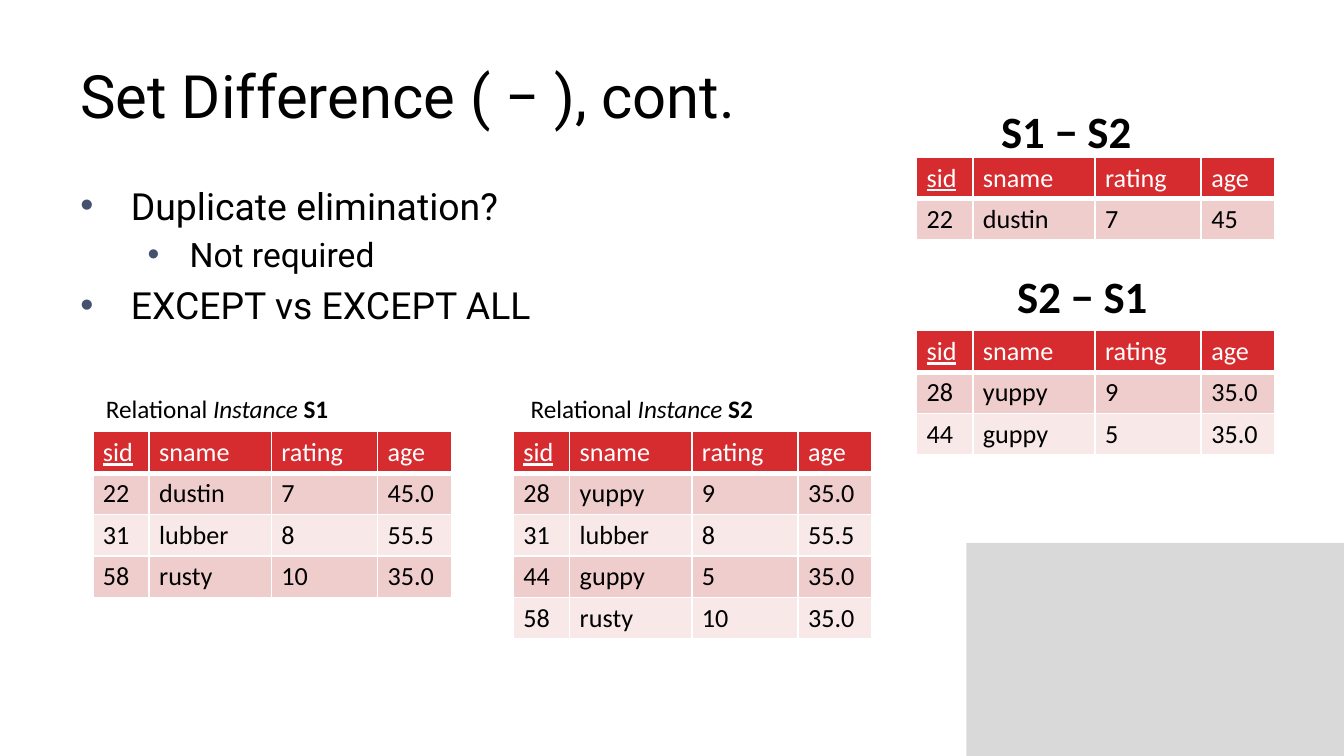
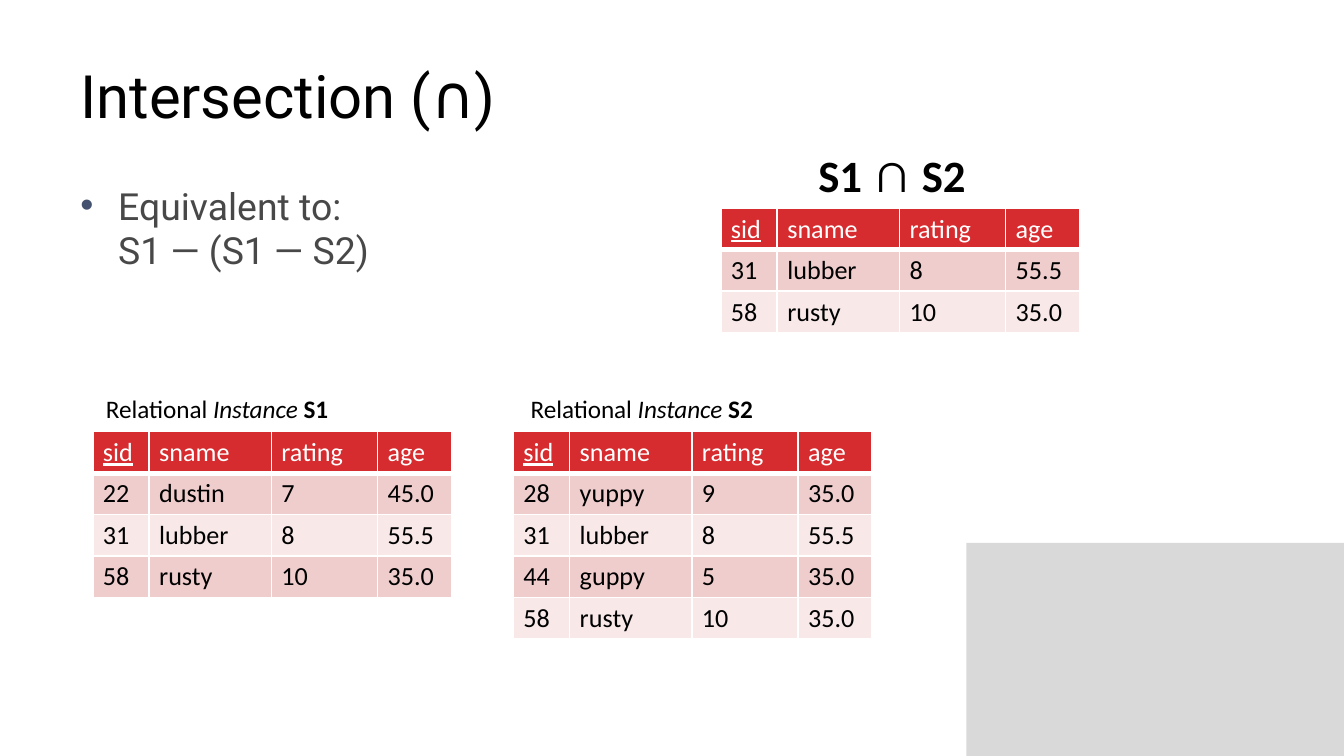
from lxml import etree
from pptx import Presentation
from pptx.dml.color import RGBColor
from pptx.enum import shapes, text
from pptx.oxml import ns
from pptx.util import Pt

BLACK, WHITE, GREY, DARK_GREY = "000000", "FFFFFF", "D9D9D9", "484848"
RED, PINK, PALE_PINK, BULLET = "D72C2F", "F0CDCD", "F8E8E8", "44516F"
HEADING, PLAIN = "Roboto", "Calibri"

COLUMNS = {"sid": 30.2, "sname": 65.5, "rating": 56.9, "age": 39.6}
ROW_HEIGHT = 22.2
CELL_MARGINS = {"margin_left": 5.4, "margin_right": 5.4,
                "margin_top": 2.7, "margin_bottom": 2.7}

DUSTIN = ("22", "dustin", "7", "45.0")
YUPPY = ("28", "yuppy", "9", "35.0")
LUBBER = ("31", "lubber", "8", "55.5")
GUPPY = ("44", "guppy", "5", "35.0")
RUSTY = ("58", "rusty", "10", "35.0")


def rgb(value):
    return RGBColor.from_string(value)


def add_run(p, content, color=BLACK, **formats):
    """Add a run; formats are attributes of its font, with size in points."""
    r = p.add_run()
    r.text = content
    r.font.color.rgb = rgb(color)
    formats["size"] = Pt(formats["size"])
    for name, value in formats.items():
        setattr(r.font, name, value)


def add_text_box(s, left, top, width, height, **formats):
    """Add an empty text box and return its text frame."""
    tf = s.shapes.add_textbox(Pt(left), Pt(top), Pt(width), Pt(height)).text_frame
    for name, value in formats.items():
        setattr(tf, name, value)
    return tf


def add_title(s, title):
    tf = add_text_box(s, 36, 16.6, 648, 67.7, word_wrap=True,
                      vertical_anchor=text.MSO_ANCHOR.MIDDLE)
    add_run(tf.paragraphs[0], title, size=32, name=HEADING)


def add_bullet(p, margin, hanging):
    pPr = p._p.get_or_add_pPr()
    pPr.set("marL", str(Pt(margin)))
    pPr.set("indent", str(-Pt(hanging)))
    color = etree.SubElement(pPr, ns.qn("a:buClr"))
    etree.SubElement(color, ns.qn("a:srgbClr"), val=BULLET)
    etree.SubElement(pPr, ns.qn("a:buFont"), typeface="Arial")
    etree.SubElement(pPr, ns.qn("a:buChar"), char="•")


def add_bullets(s, items, color=BLACK):
    """Items are (text, level, size, margin, hanging indent)."""
    tf = add_text_box(s, 36, 94.3, 648, 267, word_wrap=True)
    for i, (content, level, size, margin, hanging) in enumerate(items):
        p = tf.add_paragraph() if i else tf.paragraphs[0]
        p.level = level
        if i:
            p.space_before = Pt(size * 0.2)
        add_bullet(p, margin, hanging)
        for j, line in enumerate(content.split("\n")):
            if j:
                p.add_line_break()
            add_run(p, line, color, size=size, name=HEADING)


def add_caption(s, left, top, width, height, size, runs):
    """Runs are (text, formats); formats override the given size."""
    tf = add_text_box(s, left, top, width, height, word_wrap=False,
                      auto_size=text.MSO_AUTO_SIZE.SHAPE_TO_FIT_TEXT)
    for content, formats in runs:
        add_run(tf.paragraphs[0], content, **{"size": size, "name": PLAIN, **formats})


def add_borders(cell, bottom):
    tcPr = cell._tc.get_or_add_tcPr()
    for side, width in (("L", 1), ("R", 1), ("T", 1), ("B", bottom)):
        line = etree.SubElement(tcPr, ns.qn(f"a:ln{side}"), w=str(Pt(width)))
        fill = etree.SubElement(line, ns.qn("a:solidFill"))
        etree.SubElement(fill, ns.qn("a:srgbClr"), val=WHITE)


def add_relation(s, left, top, records):
    """Add a table with the sailor columns, the key underlined."""
    rows = [tuple(COLUMNS), *records]
    table = s.shapes.add_table(len(rows), len(COLUMNS), Pt(left), Pt(top),
                               Pt(sum(COLUMNS.values())),
                               Pt(ROW_HEIGHT * len(rows))).table
    table.first_row = table.horz_banding = False
    for column, width in zip(table.columns, COLUMNS.values()):
        column.width = Pt(width)
    for i, values in enumerate(rows):
        table.rows[i].height = Pt(ROW_HEIGHT)
        header = i == 0
        fill = RED if header else (PALE_PINK, PINK)[i % 2]
        for j, value in enumerate(values):
            cell = table.cell(i, j)
            for name, margin in CELL_MARGINS.items():
                setattr(cell, name, Pt(margin))
            add_borders(cell, 3 if header else 1)
            cell.fill.solid()
            cell.fill.fore_color.rgb = rgb(fill)
            add_run(cell.text_frame.paragraphs[0], value,
                    WHITE if header else BLACK, size=14, name=PLAIN,
                    bold=False, underline=header and j == 0)


def add_instance(s, name, left, caption_left, records):
    add_relation(s, left, 231.2, records)
    add_caption(s, caption_left, 207.4, 135.4, 23.8, 13.5,
                [("Relational ", {}), ("Instance ", {"italic": True}),
                 (name, {"bold": True})])


def add_instances(s):
    add_instance(s, "S2", 275, 277.2, [YUPPY, LUBBER, GUPPY, RUSTY])
    add_instance(s, "S1", 49.7, 49.7, [DUSTIN, LUBBER, RUSTY])


def add_slide(prs, title):
    """Add a slide with the grey corner block and a title."""
    s = prs.slides.add_slide(prs.slide_layouts[6])
    block = s.shapes.add_shape(shapes.MSO_SHAPE.RECTANGLE,
                               Pt(517.7), Pt(290.9), Pt(202.3), Pt(114.1))
    block.shadow.inherit = False
    block.fill.solid()
    block.fill.fore_color.rgb = rgb(GREY)
    block.line.fill.background()
    add_title(s, title)
    return s


def add_difference_slide(prs):
    s = add_slide(prs, "Set Difference ( − ), cont.")
    add_bullets(s, [("Duplicate elimination?", 0, 20, 27, 27),
                    ("Not required", 1, 18, 58.5, 22.5),
                    ("EXCEPT vs EXCEPT ALL", 0, 20, 27, 27)])
    bold = {"bold": True}
    add_relation(s, 491, 84.2, [("22", "dustin", "7", "45")])
    add_caption(s, 529.2, 51.8, 85, 36, 24, [("S1 − S2", bold)])
    add_relation(s, 491, 177.1, [YUPPY, GUPPY])
    add_caption(s, 537.8, 140.4, 85, 36, 24, [("S2 − S1", bold)])
    add_instances(s)


def add_intersection_slide(prs):
    s = add_slide(prs, "Intersection (∩)")
    add_bullets(s, [("Equivalent to:\nS1 — (S1 — S2)", 0, 20, 20.2, 20.2)],
                DARK_GREY)
    add_relation(s, 386.2, 111.6, [LUBBER, RUSTY])
    bold = {"bold": True}
    add_caption(s, 431.3, 69.8, 94.3, 43.9, 24,
                [("S1 ", bold), ("∩", {"size": 30}), (" ", {}), ("S2", bold)])
    add_instances(s)


def main():
    prs = Presentation()
    prs.slide_width, prs.slide_height = Pt(720), Pt(405)
    add_difference_slide(prs)
    add_intersection_slide(prs)
    prs.save("out.pptx")


if __name__ == "__main__":
    main()
